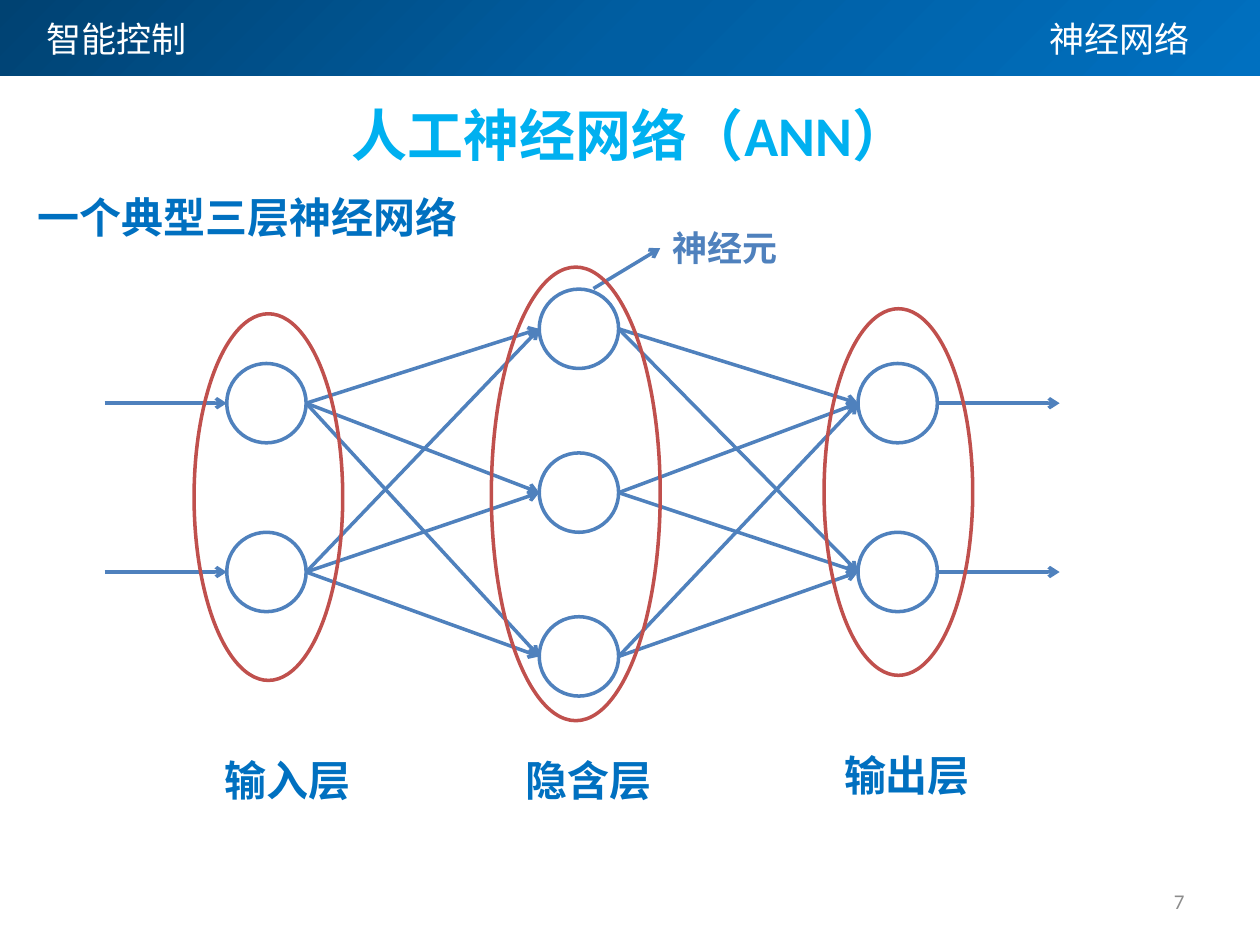
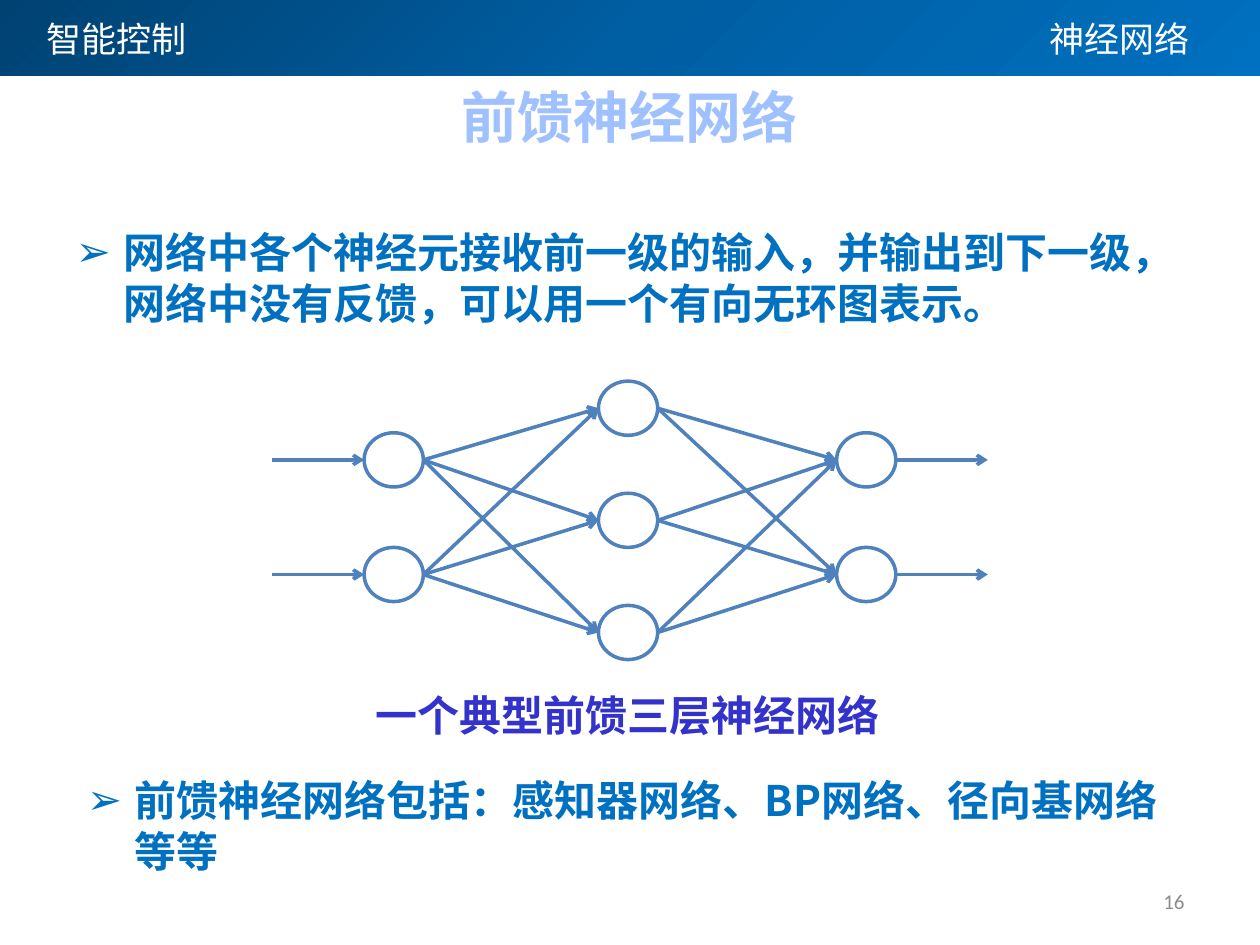
from dataclasses import dataclass
from itertools import product

from lxml import etree
from pptx import Presentation
from pptx import util as u
from pptx.dml.color import RGBColor
from pptx.enum import shapes, text
from pptx.oxml import ns


@dataclass(frozen=True)
class Theme:
    white: str = "FFFFFF"
    blue: str = "0070C0"
    sky: str = "00B0F0"
    pale_blue: str = "A0C1FF"
    network: str = "4F81BD"
    layer: str = "C0504D"
    caption: str = "3333CC"
    gray: str = "8C8C8C"
    band: tuple = ((0, "004272"), (50, "005EA2"), (100, "0070C0"))
    cjk: str = "Noto Sans CJK SC"
    header_font: str = "Arial"
    number_font: str = "Calibri"
    title_size: int = 32
    body_size: int = 24
    label_size: int = 20
    number_size: int = 12
    line_width: int = 2


THEME = Theme()
HEADING = {"size": u.Pt(THEME.body_size), "bold": True, "name": THEME.cjk}
TITLE = {"size": u.Pt(THEME.title_size), "bold": True, "name": THEME.cjk}
LABEL = {"size": u.Pt(THEME.label_size), "name": THEME.header_font}
NUMBER = {"size": u.Pt(THEME.number_size), "name": THEME.number_font}


def color(value):
    return RGBColor.from_string(value)


def add_child(parent, tag, **attributes):
    return etree.SubElement(parent, ns.qn(tag), attributes)


def place(shape, box):
    for name, value in zip(("left", "top", "width", "height"), box):
        setattr(shape, name, u.Inches(value))


def write(shape, content, font_values, font_color, **paragraph_values):
    paragraph = shape.text_frame.paragraphs[0]
    for name, value in paragraph_values.items():
        setattr(paragraph, name, value)
    run = paragraph.add_run()
    run.text = content
    for name, value in font_values.items():
        setattr(run.font, name, value)
    run.font.color.rgb = color(font_color)
    add_child(run.font._element, "a:ea", typeface=THEME.cjk)


def add_text(slide, content, box, font_values, font_color, wrap=False, **paragraph_values):
    shape = slide.shapes.add_textbox(*map(u.Inches, box))
    shape.text_frame.word_wrap = wrap
    write(shape, content, font_values, font_color, **paragraph_values)
    return shape


def set_title(slide, content, box, font_values, font_color, anchor, **paragraph_values):
    title = slide.shapes.title
    place(title, box)
    title.text_frame.auto_size = text.MSO_AUTO_SIZE.NONE
    title.text_frame.vertical_anchor = anchor
    write(title, content, font_values, font_color,
          alignment=text.PP_ALIGN.CENTER, **paragraph_values)


def set_bullet(shape):
    properties = shape.text_frame.paragraphs[0]._p.get_or_add_pPr()
    indent = u.Inches(0.38)
    properties.set("marL", str(indent))
    properties.set("indent", str(-indent))
    add_child(properties, "a:buFont", typeface=THEME.header_font)
    add_child(properties, "a:buChar", char="➢")


def add_page_number(slide, number):
    shape = add_text(slide, number, (7.17, 6.95, 2.33, 0.4), NUMBER, THEME.gray,
                     wrap=True, alignment=text.PP_ALIGN.RIGHT)
    shape.text_frame.vertical_anchor = text.MSO_ANCHOR.MIDDLE


def fill_band(shape):
    properties = shape.element.spPr
    gradient = etree.Element(ns.qn("a:gradFill"), rotWithShape="1")
    stops = add_child(gradient, "a:gsLst")
    for position, value in THEME.band:
        stop = add_child(stops, "a:gs", pos=str(position * 1000))
        add_child(stop, "a:srgbClr", val=value)
    circle = add_child(gradient, "a:path", path="circle")
    add_child(circle, "a:fillToRect", r="100000", b="100000")
    properties.find(ns.qn("a:prstGeom")).addnext(gradient)


def add_master_header(presentation, slide):
    band = slide.shapes.add_shape(shapes.MSO_SHAPE.RECTANGLE, 0, 0,
                                  presentation.slide_width, u.Inches(0.6))
    band.shadow.inherit = False
    band.line.fill.background()
    fill_band(band)
    course = add_text(slide, "智能控制", (0.27, 0.09, 1.33, 0.44), LABEL, THEME.white)
    topic = add_text(slide, "神经网络", (8.23, 0.09, 1.33, 0.44), LABEL, THEME.white)
    for identifier, shape in enumerate((band, course, topic), start=20):
        shape.element.xpath(".//p:cNvPr")[0].set("id", str(identifier))
        presentation.slide_master.shapes.element.append(shape.element)


def add_ellipse(slide, box, line_color, fill_color=None):
    ellipse = slide.shapes.add_shape(shapes.MSO_SHAPE.OVAL, *map(u.Inches, box))
    ellipse.shadow.inherit = False
    ellipse.line.color.rgb = color(line_color)
    ellipse.line.width = u.Pt(THEME.line_width)
    if fill_color:
        ellipse.fill.solid()
        ellipse.fill.fore_color.rgb = color(fill_color)
    else:
        ellipse.fill.background()


def add_arrow(slide, start, end):
    arrow = slide.shapes.add_connector(shapes.MSO_CONNECTOR.STRAIGHT,
                                       *map(u.Inches, (*start, *end)))
    arrow.line.color.rgb = color(THEME.network)
    arrow.line.width = u.Pt(THEME.line_width)
    add_child(arrow.line._get_or_add_ln(), "a:tailEnd", type="arrow")
    add_child(arrow._element.spPr, "a:effectLst")


def add_network(slide, neuron_size, layers, reach):
    width, height = neuron_size
    columns = []
    for left, first_center, gap, count in layers:
        centers = [first_center + gap * row for row in range(count)]
        columns.append([(left, center) for center in centers])
        for center in centers:
            add_ellipse(slide, (left, center - height / 2, width, height),
                        THEME.network, THEME.white)
    for left, center in columns[0]:
        add_arrow(slide, (left - reach, center), (left, center))
    for sources, targets in zip(columns, columns[1:]):
        for (left, center), target in product(sources, targets):
            add_arrow(slide, (left + width, center), target)
    for left, center in columns[-1]:
        add_arrow(slide, (left + width, center), (left + width + reach, center))


def build_three_layer_slide(slide):
    set_title(slide, "人工神经网络（ANN）", (0.5, 0.13, 9, 1.25),
              TITLE | {"name": THEME.number_font}, THEME.sky,
              text.MSO_ANCHOR.BOTTOM, line_spacing=u.Pt(58))
    add_page_number(slide, "7")
    add_network(slide, (0.63, 0.63),
                ((1.8, 3.2, 1.34, 2), (4.28, 2.61, 1.3, 3), (6.81, 3.2, 1.34, 2)), 0.97)
    add_text(slide, "一个典型三层神经网络", (0.2, 1.47, 3.59, 0.5), HEADING, THEME.blue)
    add_arrow(slide, (4.71, 2.29), (5.24, 1.97))
    add_text(slide, "神经元", (5.24, 1.75, 1.04, 0.44), LABEL | {"bold": True}, THEME.network)
    layers = (
        ("输入层", (1.54, 2.49, 1.18, 2.91), (1.68, 5.94)),
        ("隐含层", (3.9, 2.12, 1.34, 3.6), (4.07, 5.94)),
        ("输出层", (6.54, 2.45, 1.18, 2.91), (6.6, 5.9)),
    )
    for name, outline, corner in layers:
        add_ellipse(slide, outline, THEME.layer)
        add_text(slide, name, (*corner, 1.21, 0.5), HEADING, THEME.blue)


def build_feedforward_slide(slide):
    set_title(slide, "前馈神经网络", (0.5, 0.3, 9, 1.25), TITLE, THEME.pale_blue,
              text.MSO_ANCHOR.MIDDLE)
    body = slide.placeholders[1]
    place(body, (0.5, 1.75, 9, 1.09))
    body.text_frame.auto_size = text.MSO_AUTO_SIZE.NONE
    write(body, "网络中各个神经元接收前一级的输入，并输出到下一级，"
          "网络中没有反馈，可以用一个有向无环图表示。",
          HEADING, THEME.blue, space_before=u.Pt(0))
    add_page_number(slide, "16")
    add_network(slide, (0.47, 0.43),
                ((2.89, 3.65, 0.91, 2), (4.75, 3.24, 0.89, 3), (6.64, 3.65, 0.91, 2)), 0.73)
    add_text(slide, "一个典型前馈三层神经网络", (2.88, 5.42, 4.24, 0.5),
             HEADING, THEME.caption)
    examples = add_text(slide, "前馈神经网络包括：感知器网络、BP网络、径向基网络等等",
                        (0.59, 6.1, 8.82, 0.91), HEADING, THEME.blue, wrap=True)
    for shape in (body, examples):
        set_bullet(shape)


def main():
    presentation = Presentation()
    presentation.slide_width = u.Inches(10)
    presentation.slide_height = u.Inches(7.5)
    title_only = presentation.slide_layouts.get_by_name("Title Only")
    title_and_content = presentation.slide_layouts.get_by_name("Title and Content")
    three_layer = presentation.slides.add_slide(title_only)
    add_master_header(presentation, three_layer)
    build_three_layer_slide(three_layer)
    build_feedforward_slide(presentation.slides.add_slide(title_and_content))
    presentation.save("out.pptx")


if __name__ == "__main__":
    main()
